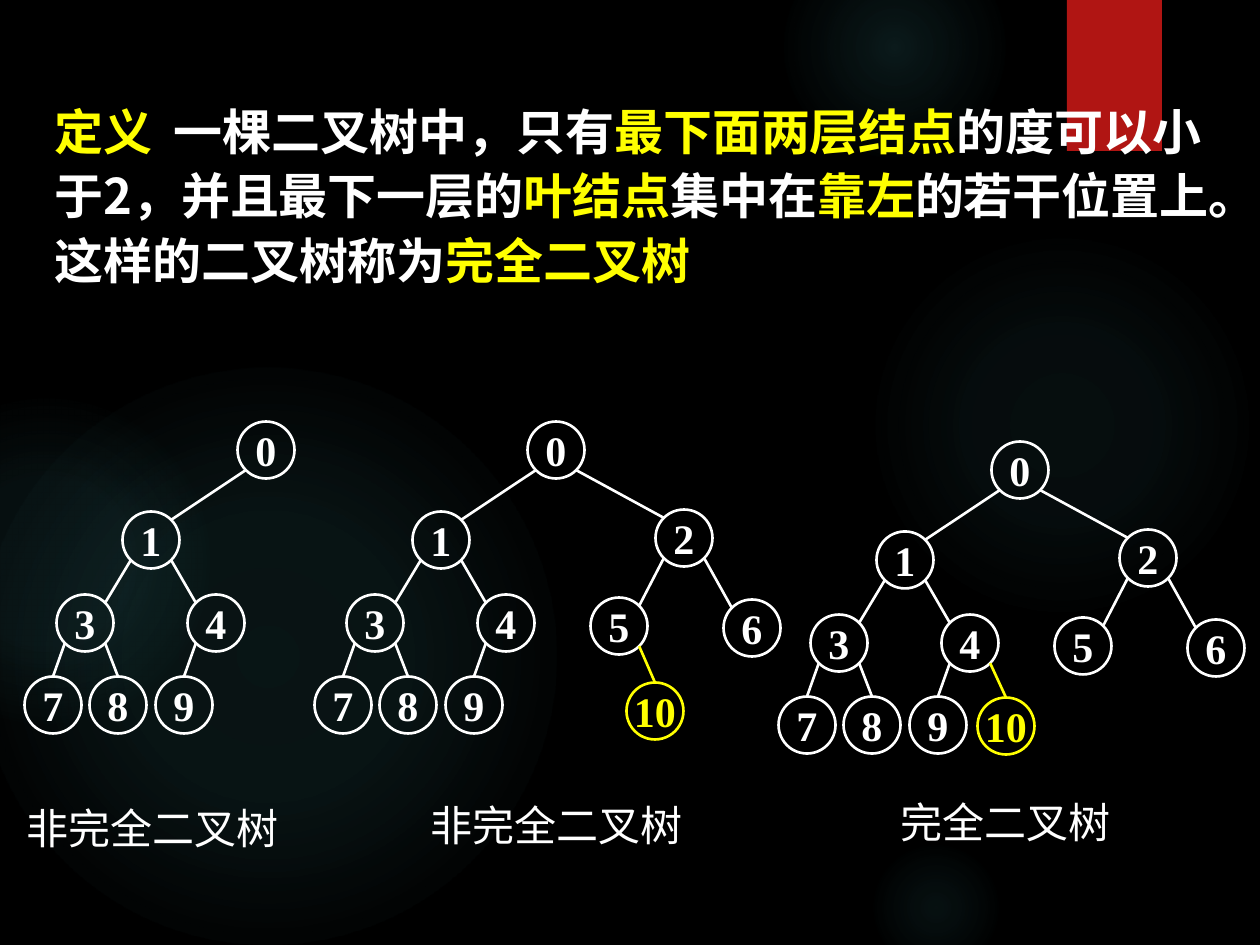
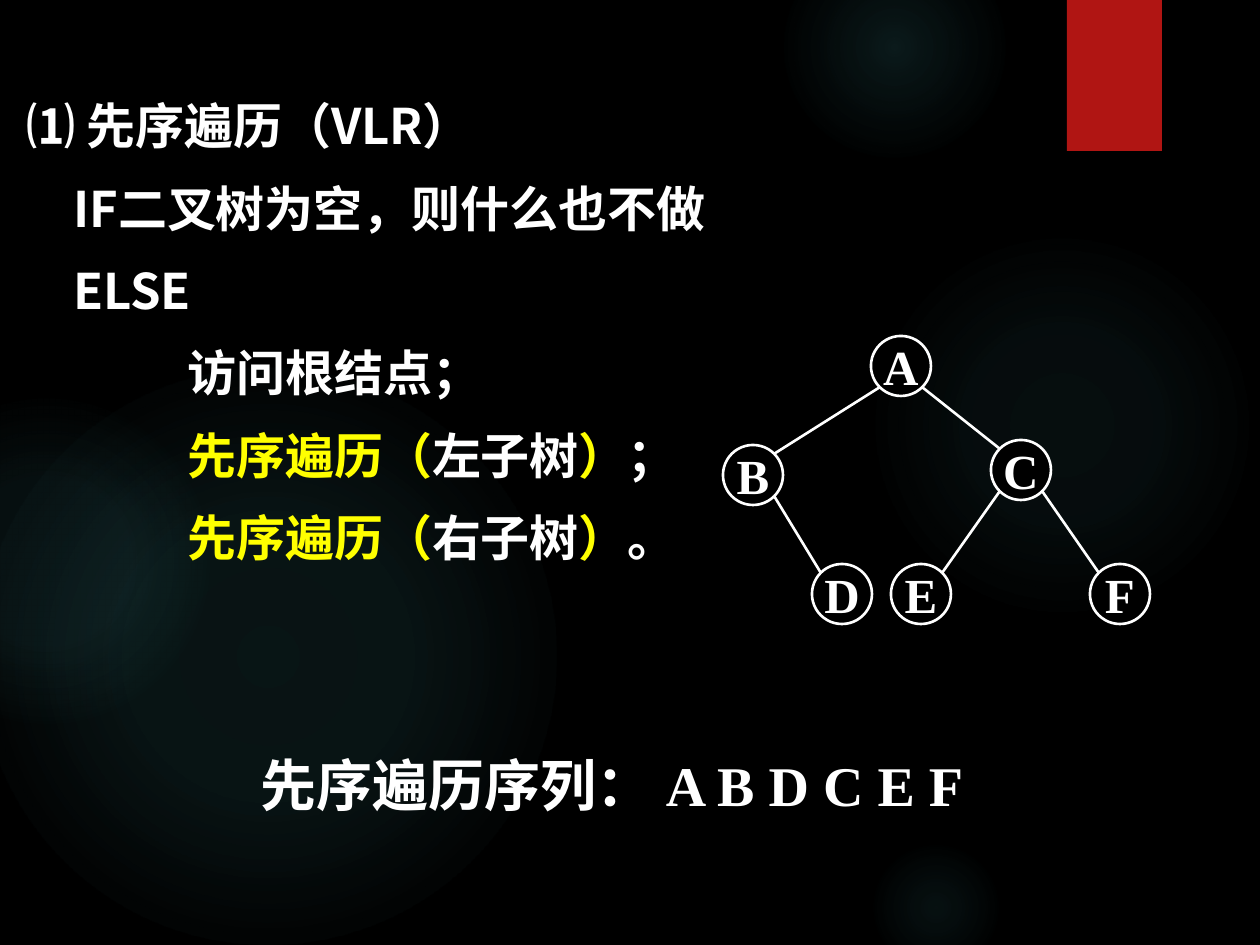
import math

from lxml import etree
from pptx import Presentation
from pptx.dml.color import RGBColor
from pptx.enum.shapes import MSO_CONNECTOR, MSO_SHAPE
from pptx.enum.text import MSO_ANCHOR, PP_ALIGN
from pptx.oxml.ns import qn
from pptx.util import Emu, Pt

OVAL, RECTANGLE = MSO_SHAPE.OVAL, MSO_SHAPE.RECTANGLE
STRAIGHT = MSO_CONNECTOR.STRAIGHT
MIDDLE = MSO_ANCHOR.MIDDLE
CENTER, JUSTIFY = PP_ALIGN.CENTER, PP_ALIGN.JUSTIFY

EMU_PER_PX = 914400 / 126
BLANK_LAYOUT = 6
COLORS = {
    "background": "000000",
    "text": "FFFFFF",
    "highlight": "FFFF00",
    "band": "B01513",
    "glow": "50B9C1",
}
SANS, SERIF, CAPTION = "Noto Sans CJK SC", "Times New Roman", "TeX Gyre Adventor"
LINE_WIDTH = Pt(1.5)

# Left, top, diameter, then (position %, opacity %) stops
GLOWS = [
    (868, 231, 388, [(0, 7), (36, 6), (69, 0)]),
    (784, -63, 221, [(0, 14), (36, 7), (73, 0)]),
    (868, 840, 136, [(0, 9), (36, 5), (66, 0)]),
    (-21, 368, 577, [(0, 11), (36, 10), (75, 0)]),
    (-116, 399, 325, [(0, 8), (36, 8), (72, 0)]),
]
BAND_BOX = (1067, 0, 95, 151)

# Node centres, relative to the left top corner of the tree
NUMBER_NODES = {
    "0": (242, 29), "1": (127, 119), "2": (370, 117),
    "3": (61, 202), "4": (192, 202), "5": (305, 205), "6": (438, 207),
    "7": (29, 284), "8": (94, 284), "9": (160, 284),
}
NUMBER_PARENTS = {"1": "0", "2": "0", "3": "1", "4": "1", "5": "2",
                  "6": "2", "7": "3", "8": "3", "9": "4"}
LETTER_NODES = {
    "A": (178, 30), "B": (30, 139), "D": (119, 258),
    "C": (298, 134), "E": (198, 258), "F": (397, 258),
}
LETTER_PARENTS = {"B": "A", "C": "A", "D": "B", "E": "C", "F": "C"}
NARROW_STEP = 50  # children closer than this sideways are joined at their top

DEFINITION = [
    ("定义", "highlight"), (" ", "text"),
    ("一棵二叉树中，只有", "text"), ("最下面两层结点", "highlight"),
    ("的度可以小于2，并且最下一层的", "text"), ("叶结点", "highlight"),
    ("集中在", "text"), ("靠左", "highlight"),
    ("的若干位置上。这样的二叉树称为", "text"), ("完全二叉树", "highlight"),
]


def recursive_call(subtree, ending):
    return [("先序遍历（", "highlight"), (subtree, "text"),
            ("）", "highlight"), (ending, "text")]


# Indent in px, then the runs of the line
ALGORITHM = [
    (0, [("⑴ 先序遍历（VLR）", "text")]),
    (47, [("IF二叉树为空，则什么也不做", "text")]),
    (47, [("ELSE", "text")]),
    (161, [("访问根结点；", "text")]),
    (161, recursive_call("左子树", "；")),
    (161, recursive_call("右子树", "。")),
]


def px(*lengths):
    return [Emu(round(length * EMU_PER_PX)) for length in lengths]


def rgb(color):
    return RGBColor.from_string(COLORS[color])


def format_run(run, font, size, color, bold=True):
    run.font.name = font
    run.font.size = Pt(size)
    run.font.bold = bold
    run.font.color.rgb = rgb(color)
    east_asian = etree.SubElement(run.font._element, qn("a:ea"))
    east_asian.set("typeface", SANS)


def add_runs(paragraph, runs, size):
    for text, color in runs:
        run = paragraph.add_run()
        run.text = text
        format_run(run, SANS, size, color)
        if text == " ":
            run.font._element.set("spc", "600")


def add_text_frame(slide, box):
    text_frame = slide.shapes.add_textbox(*px(*box)).text_frame
    text_frame.word_wrap = True
    return text_frame


def add_line_of_text(slide, box, text, font, size, bold):
    text_frame = add_text_frame(slide, box)
    text_frame.text = text
    paragraph = text_frame.paragraphs[0]
    format_run(paragraph.runs[0], font, size, "text", bold)
    return text_frame


def add_glow(slide, left, top, diameter, stops):
    """Add a circle that fades out from its centre."""
    glow = slide.shapes.add_shape(OVAL, *px(left, top, diameter, diameter))
    glow.shadow.inherit = False
    glow.line.fill.background()
    glow.fill.gradient()
    gradient = glow._element.spPr.find(qn("a:gradFill"))
    for child in list(gradient):
        gradient.remove(child)
    stop_list = etree.SubElement(gradient, qn("a:gsLst"))
    for position, opacity in stops:
        stop = etree.SubElement(stop_list, qn("a:gs"), pos=str(position * 1000))
        color = etree.SubElement(stop, qn("a:srgbClr"), val=COLORS["glow"])
        etree.SubElement(color, qn("a:alpha"), val=str(opacity * 1000))
    circle = etree.SubElement(gradient, qn("a:path"), path="circle")
    sides = dict.fromkeys("ltrb", "50000")
    etree.SubElement(circle, qn("a:fillToRect"), **sides)


def add_base_slide(presentation):
    slide = presentation.slides.add_slide(presentation.slide_layouts[BLANK_LAYOUT])
    slide.background.fill.solid()
    slide.background.fill.fore_color.rgb = rgb("background")
    for glow in GLOWS:
        add_glow(slide, *glow)
    band = slide.shapes.add_shape(RECTANGLE, *px(*BAND_BOX))
    band.shadow.inherit = False
    band.fill.solid()
    band.fill.fore_color.rgb = rgb("band")
    band.line.fill.background()
    return slide


def add_node(group, center, label, diameter, size, color, filled):
    x, y = center
    radius = diameter / 2
    node = group.shapes.add_shape(
        OVAL, *px(x - radius, y - radius, diameter, diameter))
    node.shadow.inherit = False
    if filled:
        node.fill.solid()
        node.fill.fore_color.rgb = rgb("background")
    else:
        node.fill.background()
    node.line.color.rgb = rgb(color)
    node.line.width = LINE_WIDTH
    text_frame = node.text_frame
    text_frame.word_wrap = False
    text_frame.vertical_anchor = MIDDLE
    text_frame.text = label
    paragraph = text_frame.paragraphs[0]
    paragraph.alignment = CENTER
    format_run(paragraph.runs[0], SERIF, size, color)


def add_edge(group, parent, child, diameter, color):
    """Join the lower diagonal of a parent to the near side of its child."""
    diagonal = diameter / 2 * math.sqrt(0.5)
    side = math.copysign(diagonal, child[0] - parent[0])
    start = (parent[0] + side, parent[1] + diagonal)
    if abs(child[0] - parent[0]) < NARROW_STEP:
        end = (child[0], child[1] - diameter / 2)
    else:
        end = (child[0] - side, child[1] - diagonal)
    edge = group.shapes.add_connector(STRAIGHT, *px(*start, *end))
    edge.line.color.rgb = rgb(color)
    edge.line.width = LINE_WIDTH
    etree.SubElement(edge._element.spPr, qn("a:effectLst"))


def add_tree(slide, corner, nodes, parents, diameter, size,
             highlighted=None, filled=False):
    group = slide.shapes.add_group_shape()
    left, top = corner
    centers = {label: (left + x, top + y) for label, (x, y) in nodes.items()}
    for label, center in centers.items():
        color = "highlight" if label == highlighted else "text"
        add_node(group, center, label, diameter, size, color, filled)
        if label in parents:
            add_edge(group, centers[parents[label]], center, diameter, color)


def add_number_tree(slide, corner, labels, tenth=None):
    """Add the numbered nodes, and node 10 if its (parent, centre) is given."""
    nodes = {label: NUMBER_NODES[label] for label in labels}
    parents = dict(NUMBER_PARENTS)
    if tenth:
        parents["10"], nodes["10"] = tenth
    add_tree(slide, corner, nodes, parents, 57, 24, highlighted="10")


def add_complete_tree_slide(presentation):
    slide = add_base_slide(presentation)
    definition = add_text_frame(slide, (42, 89, 1192, 209)).paragraphs[0]
    definition.line_spacing = 1.1
    add_runs(definition, DEFINITION, 28)

    add_number_tree(slide, (24, 421), "0134789")
    add_number_tree(slide, (314, 421), NUMBER_NODES, ("5", (341, 290)))
    add_number_tree(slide, (778, 441), NUMBER_NODES, ("4", (228, 285)))

    for left, top, caption in [(14, 796, "非完全二叉树"),
                               (418, 793, "非完全二叉树"),
                               (888, 790, "完全二叉树")]:
        add_line_of_text(slide, (left, top, 323, 63), caption, CAPTION, 24, False)


def add_preorder_slide(presentation):
    slide = add_base_slide(presentation)
    text_frame = add_text_frame(slide, (14, 66, 760, 512))
    for index, (indent, runs) in enumerate(ALGORITHM):
        paragraph = text_frame.add_paragraph() if index else text_frame.paragraphs[0]
        paragraph.alignment = JUSTIFY
        paragraph.line_spacing = 1.4
        paragraph._p.get_or_add_pPr().set("marL", str(px(indent)[0]))
        add_runs(paragraph, runs, 28)

    add_tree(slide, (723, 336), LETTER_NODES, LETTER_PARENTS, 60, 28, filled=True)

    sequence = add_line_of_text(slide, (192, 742, 840, 84),
                                "先序遍历序列： A B D C E F", SERIF, 32, True)
    sequence.vertical_anchor = MIDDLE
    sequence.paragraphs[0].alignment = CENTER


def main():
    presentation = Presentation()
    presentation.slide_width, presentation.slide_height = px(1260, 945)
    add_complete_tree_slide(presentation)
    add_preorder_slide(presentation)
    presentation.save("out.pptx")


if __name__ == "__main__":
    main()
